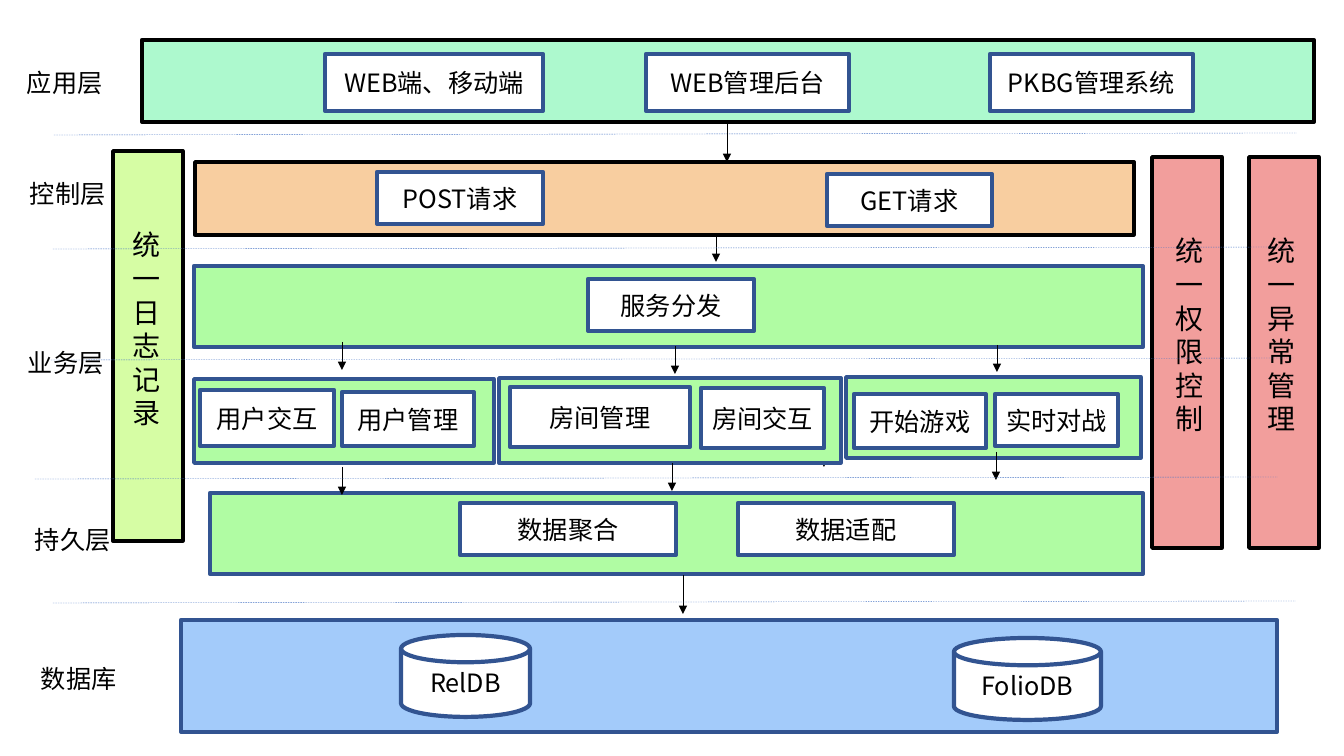
from lxml.etree import SubElement
from pptx import Presentation
from pptx.dml.color import RGBColor
from pptx.enum.dml import MSO_LINE
from pptx.enum.shapes import MSO_CONNECTOR, MSO_SHAPE
from pptx.enum.text import MSO_ANCHOR, PP_ALIGN
from pptx.oxml.ns import qn
from pptx.util import Inches, Pt

FONT = "Noto Sans CJK SC"
EMU_PER_PIXEL = Inches(1) / 100.8
BLACK = RGBColor(0, 0, 0)
WHITE = RGBColor(255, 255, 255)
NAVY = RGBColor(0x32, 0x54, 0x91)
BLUE = RGBColor(0x44, 0x72, 0xC4)
MINT = RGBColor(0xAD, 0xF9, 0xCE)
ORANGE = RGBColor(0xF8, 0xCE, 0xA0)
LIME = RGBColor(0xD6, 0xFD, 0xA4)
RED = RGBColor(0xF2, 0x9E, 0x9C)
GREEN = RGBColor(0xB0, 0xFC, 0xA3)
SKY = RGBColor(0xA3, 0xCB, 0xFA)


def emu(*pixels):
    return [round(pixel * EMU_PER_PIXEL) for pixel in pixels]


def write(frame, text, size, align):
    frame.word_wrap = True
    para = frame.paragraphs[0]
    para.alignment = align
    span = para.add_run()
    span.text = text
    span.font.size = Pt(size)
    span.font.name = FONT
    span.font.color.rgb = BLACK
    SubElement(span.font._element, qn("a:ea"), typeface=FONT)


def add_box(page, box, fill, line, weight, kind=MSO_SHAPE.RECTANGLE):
    shape = page.shapes.add_shape(kind, *emu(*box))
    shape.shadow.inherit = False
    shape.fill.solid()
    shape.fill.fore_color.rgb = fill
    shape.line.color.rgb = line
    shape.line.width = Pt(weight)
    return shape


def add_text(page, box, text, size):
    frame = page.shapes.add_textbox(*emu(*box)).text_frame
    write(frame, text, size, PP_ALIGN.LEFT)


def add_line(page, start, end, color, weight):
    line = page.shapes.add_connector(MSO_CONNECTOR.STRAIGHT, *emu(*start, *end))
    line.line.color.rgb = color
    line.line.width = Pt(weight)
    SubElement(line._element.spPr, qn("a:effectLst"))
    return line


def add_arrow(page, x, y, length):
    arrow = add_line(page, (x, y), (x, y + length), BLACK, 0.5)
    SubElement(arrow.line._get_or_add_ln(), qn("a:tailEnd"), type="triangle")


def add_divider(page, x, y):
    divider = add_line(page, (x, y), (x + 1243, y - 2), BLUE, 0.25)
    divider.line.dash_style = MSO_LINE.DASH


def add_layer(page, box, fill, line, weight, modules, kind=MSO_SHAPE.RECTANGLE):
    left, top, _, _ = box
    add_box(page, box, fill, line, weight)
    for text, x, y, width, height in modules:
        place = (left + x, top + y, width, height)
        frame = add_box(page, place, WHITE, NAVY, 3, kind).text_frame
        frame.vertical_anchor = MSO_ANCHOR.MIDDLE
        write(frame, text, 18, PP_ALIGN.CENTER)


def add_side_bar(page, box, fill, text, indent):
    left, top, _, _ = box
    add_box(page, box, fill, BLACK, 2.5)
    add_text(page, (left + indent, top + 72, 65, 214), text, 20)


LAYERS = [
    ((142, 40, 1172, 82), MINT, BLACK, 3, [
        ("WEB端、移动端", 183, 14, 218, 57),
        ("WEB管理后台", 504, 14, 203, 57),
        ("PKBG管理系统", 848, 14, 203, 57)]),
    ((195, 162, 939, 73), ORANGE, BLACK, 2.5, [
        ("POST请求", 182, 10, 166, 52),
        ("GET请求", 632, 12, 165, 52)]),
    ((194, 266, 949, 81), GREEN, NAVY, 3, [
        ("服务分发", 394, 13, 166, 52)]),
    ((194, 379, 300, 84), GREEN, NAVY, 2.5, [
        ("用户交互", 6, 11, 134, 56),
        ("用户管理", 148, 13, 132, 54)]),
    ((499, 378, 342, 85), GREEN, NAVY, 2.5, [
        ("房间管理", 11, 9, 180, 60),
        ("房间交互", 202, 10, 123, 60)]),
    ((846, 377, 295, 81), GREEN, NAVY, 2.5, [
        ("开始游戏", 8, 17, 132, 54),
        ("实时对战", 149, 17, 123, 52)]),
    ((210, 493, 933, 81), GREEN, NAVY, 3, [
        ("数据聚合", 250, 10, 216, 52),
        ("数据适配", 528, 10, 216, 52)]),
]
DATABASES = [("RelDB", 220, 15, 129, 82), ("FolioDB", 773, 18, 147, 82)]
SIDE_BARS = [
    ((113, 151, 70, 390), LIME, "统一日志记录", 10),
    ((1152, 157, 70, 391), RED, "统一权限控制", 14),
    ((1249, 157, 70, 391), RED, "统一异常管理", 9),
]
ARROWS = [
    (727, 123, 39), (716, 235, 27), (342, 342, 28), (675, 346, 28),
    (997, 345, 27), (342, 467, 28), (672, 463, 28), (996, 452, 28),
    (683, 575, 39),
]
DIVIDERS = [(54, 135), (53, 249), (51, 360), (35, 479), (53, 603)]
LABELS = [
    ("应用层", 17, 62), ("控制层", 20, 173), ("业务层", 18, 342),
    ("持久层", 25, 519), ("数据库", 31, 658),
]


def build_architecture(page):
    add_divider(page, *DIVIDERS[0])
    add_arrow(page, 824, 438, 29)
    for layer in LAYERS:
        add_layer(page, *layer)
    add_layer(page, (181, 620, 1096, 112), SKY, NAVY, 3, DATABASES,
              MSO_SHAPE.FLOWCHART_MAGNETIC_DISK)
    for side_bar in SIDE_BARS:
        add_side_bar(page, *side_bar)
    for arrow in ARROWS:
        add_arrow(page, *arrow)
    for divider in DIVIDERS[1:]:
        add_divider(page, *divider)
    for text, x, y in LABELS:
        add_text(page, (x, y, 162, 40), text, 18)


deck = Presentation()
deck.slide_width, deck.slide_height = emu(1344, 756)
build_architecture(deck.slides.add_slide(deck.slide_layouts[6]))
deck.save("out.pptx")
